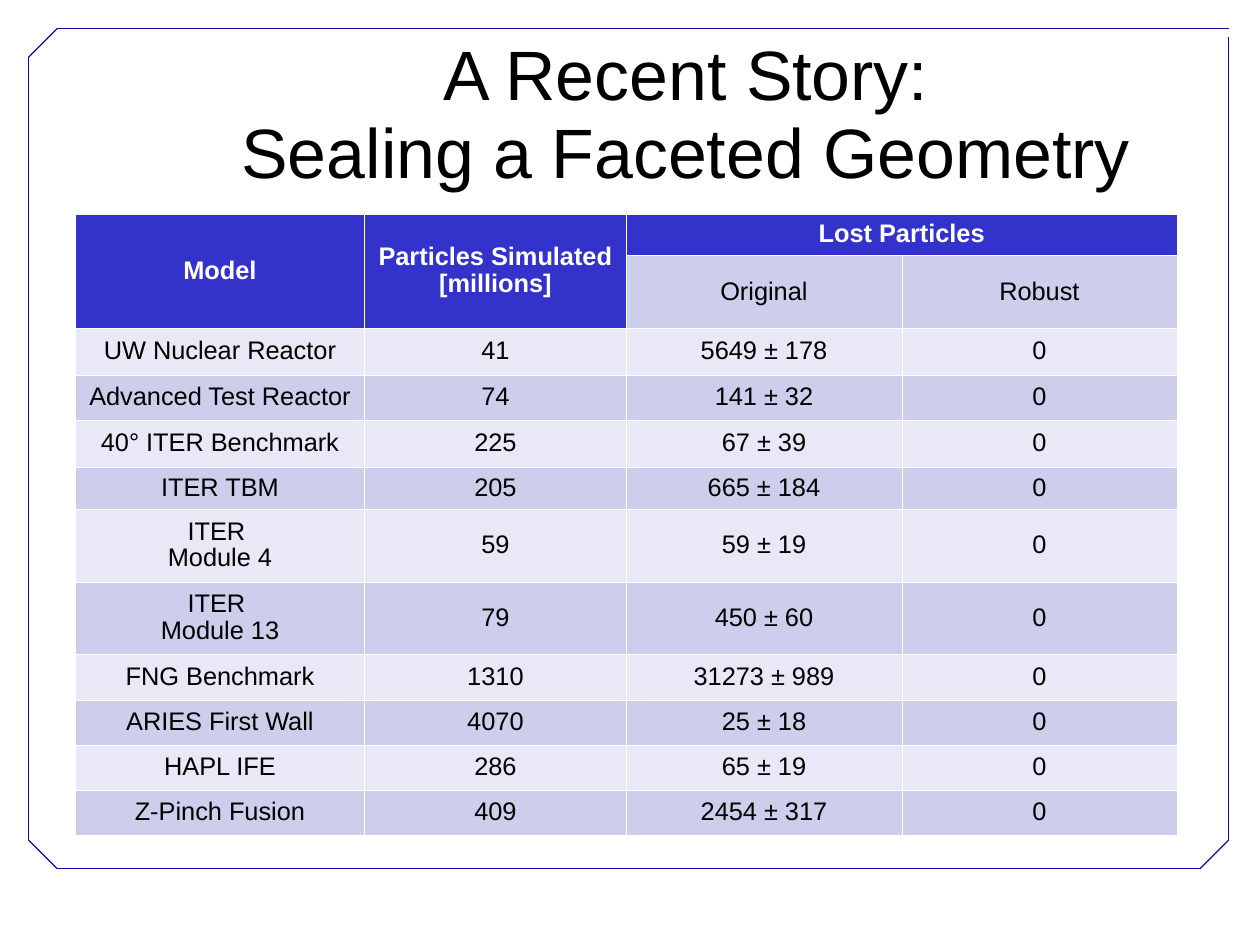
from dataclasses import dataclass
from itertools import product

from lxml import etree
from pptx import Presentation
from pptx.dml.color import RGBColor
from pptx.enum.shapes import MSO_CONNECTOR
from pptx.enum.text import MSO_ANCHOR, PP_ALIGN
from pptx.oxml.ns import qn
from pptx.util import Inches, Pt

LINE = MSO_CONNECTOR.STRAIGHT
MIDDLE = MSO_ANCHOR.MIDDLE
CENTER = PP_ALIGN.CENTER


@dataclass(frozen=True)
class Theme:
    """Colours, type sizes and line widths of the slide."""
    font: str = "Arial"
    ink: str = "000000"
    white: str = "FFFFFF"
    frame: str = "280099"
    head: str = "3333CC"
    dark: str = "CDCDEC"
    light: str = "E8E8F6"
    title: int = 44
    body: int = 16
    thin: float = 0.23
    thick: float = 0.75


THEME = Theme()
WIDE, HIGH = Pt(793.75), Pt(595.25)
FRAME = (0.25, 0.25, 10.5, 7.35)
TITLE = (1.54, 0.33, 8.93, 1.38)
TABLE = (0.66, 1.87, 9.64, 5.44)
COLS = (2.53, 2.29, 2.41, 2.41)
ROWS = (0.37, 0.64, 0.41, 0.4, 0.41, 0.37, 0.64, 0.64, 0.4, 0.4, 0.39, 0.4)
MODELS = (
    ("UW Nuclear Reactor", "41", "5649 ± 178"),
    ("Advanced Test Reactor", "74", "141 ± 32"),
    ("40° ITER Benchmark", "225", "67 ± 39"),
    ("ITER TBM", "205", "665 ± 184"),
    ("ITER \vModule 4", "59", "59 ± 19"),
    ("ITER \vModule 13", "79", "450 ± 60"),
    ("FNG Benchmark", "1310", "31273 ± 989"),
    ("ARIES First Wall", "4070", "25 ± 18"),
    ("HAPL IFE", "286", "65 ± 19"),
    ("Z-Pinch Fusion", "409", "2454 ± 317"),
)
GRID = (
    ("Model", "Particles Simulated [millions]", "Lost Particles", ""),
    ("", "", "Original", "Robust"),
    *((*model, "0") for model in MODELS),
)
SIDES = (("lnL", 0, -1), ("lnR", 0, 1), ("lnT", -1, 0), ("lnB", 1, 0))


def style(para, size, color, space, bold=False):
    """Centre a paragraph and set its font."""
    para.alignment = CENTER
    para.line_spacing = space
    font = para.font
    font.name, font.size, font.bold = THEME.font, Pt(size), bold
    font.color.rgb = RGBColor.from_string(color)


def draw_frame(slide, box):
    """Draw the outline with three cut corners and an open top right."""
    left, top, width, height = box
    right, low = left + width, top + height
    cut, gap = 0.25, 0.07
    lines = (
        (left + cut, low, right - cut, low),
        (left, low - cut, left, top + cut),
        (left + cut, top, right, top),
        (right, low - cut, right, top + gap),
        (left, top + cut, left + cut, top),
        (right - cut, low, right, low - cut),
        (left, low - cut, left + cut, low),
    )
    for ends in lines:
        line = slide.shapes.add_connector(LINE, *map(Inches, ends))
        line.line.color.rgb = RGBColor.from_string(THEME.frame)
        line.line.width = Pt(THEME.thick)
        etree.SubElement(line._element.spPr, qn("a:effectLst"))


def draw_title(slide, box):
    """Place the two-line title in its box."""
    frame = slide.shapes.add_textbox(*map(Inches, box)).text_frame
    frame.word_wrap = True
    frame.vertical_anchor = MIDDLE
    frame.margin_left = frame.margin_right = Inches(0.11)
    frame.margin_top = frame.margin_bottom = Inches(0.06)
    para = frame.paragraphs[0]
    para.text = "A Recent Story:\vSealing a Faceted Geometry"
    style(para, THEME.title, THEME.ink, 0.93)


def is_head(row, col):
    """Tell whether a cell belongs to the blue heading."""
    return row == 0 or (row == 1 and col < 2)


def draw_edges(cell, row, col):
    """Rule a cell in white, thicker where heading meets body."""
    props = cell._tc.get_or_add_tcPr()
    for spot, (tag, down, over) in enumerate(SIDES):
        near = (row + down, col + over)
        inside = 0 <= near[0] < len(ROWS) and 0 <= near[1] < len(COLS)
        meets = inside and is_head(row, col) != is_head(*near)
        width = THEME.thick if meets else THEME.thin
        edge = etree.Element(qn(f"a:{tag}"), w=str(int(Pt(width))))
        fill = etree.SubElement(edge, qn("a:solidFill"))
        etree.SubElement(fill, qn("a:srgbClr"), val=THEME.white)
        props.insert(spot, edge)


def draw_cell(cell, row, col):
    """Fill one cell with its text, colour and edges."""
    head = is_head(row, col)
    shade = THEME.head if head else (THEME.light, THEME.dark)[row % 2]
    cell.fill.solid()
    cell.fill.fore_color.rgb = RGBColor.from_string(shade)
    cell.vertical_anchor = MIDDLE
    para = cell.text_frame.paragraphs[0]
    para.text = GRID[row][col]
    style(para, THEME.body, THEME.white if head else THEME.ink, 0.94, head)
    draw_edges(cell, row, col)


def draw_table(slide, box):
    """Build the table of lost particles across its box."""
    shape = slide.shapes.add_table(len(ROWS), len(COLS), *map(Inches, box))
    table = shape.table
    for col, share in zip(table.columns, COLS):
        col.width = Inches(box[2] * share / sum(COLS))
    for row, share in zip(table.rows, ROWS):
        row.height = Inches(box[3] * share / sum(ROWS))
    for row, col in product(range(len(ROWS)), range(len(COLS))):
        draw_cell(table.cell(row, col), row, col)
    for start, end in (((0, 0), (1, 0)), ((0, 1), (1, 1)), ((0, 2), (0, 3))):
        table.cell(*start).merge(table.cell(*end))


def main():
    """Build and save the slide."""
    deck = Presentation()
    deck.slide_width, deck.slide_height = WIDE, HIGH
    slide = deck.slides.add_slide(deck.slide_layouts[6])
    draw_frame(slide, FRAME)
    draw_title(slide, TITLE)
    draw_table(slide, TABLE)
    deck.save("out.pptx")


if __name__ == "__main__":
    main()
